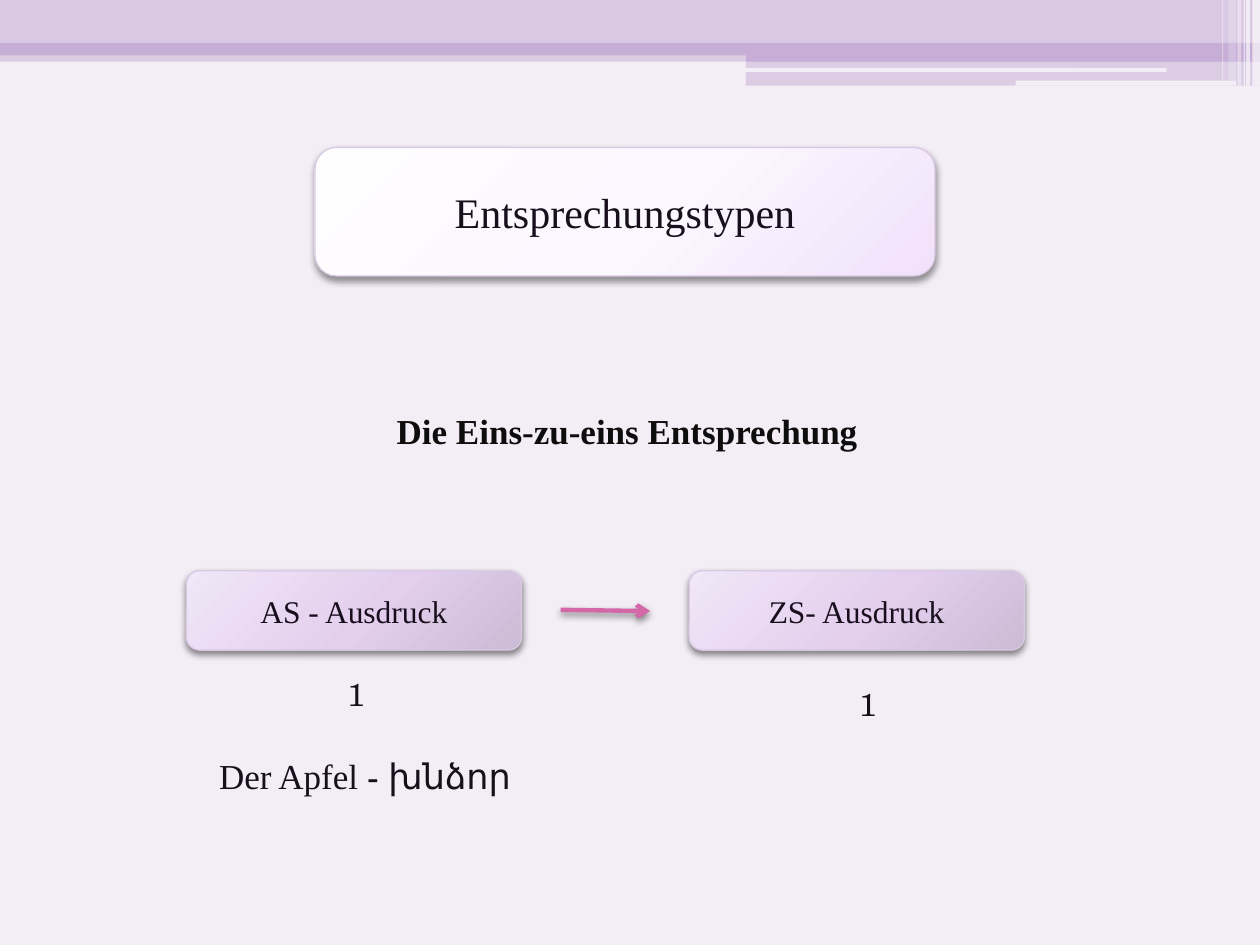
"""Slide on one-to-one equivalence: a title card, two linked terms and an example."""
from lxml import etree
from pptx import Presentation, util as u
from pptx.dml.color import RGBColor
from pptx.enum import shapes, text
from pptx.oxml import ns, parse_xml

BACK = RGBColor(0xF3, 0xEE, 0xF6)
LILAC = RGBColor(0xC7, 0xAE, 0xD6)
PALE = RGBColor(0xDA, 0xC9, 0xE3)
WHITE = RGBColor(0xFF, 0xFF, 0xFF)
PINK = RGBColor(0xD4, 0x67, 0xA8)
INK = RGBColor(0x17, 0x0F, 0x1C)
DARK = RGBColor(0x0D, 0x0D, 0x0D)
LIGHT = ("FFFEFF", "FBF7FE", "F1E1FB")
MAUVE = ("F1E7F7", "E3CEEE", "CBBBD4")
TIMES, SCHOLA, CALIBRI = "Times New Roman", "TeX Gyre Schola", "Calibri"
WIDE, HIGH = 10, 7.5
A = ns.nsdecls("a")

BANDS = [
    (0, 0.4, WIDE, 0.09, LILAC, 50),
    (0, 0, WIDE, 0.34, PALE, 100),
    (0, 0.34, WIDE, 0.1, LILAC, 100),
    (5.92, 0.39, 4.08, 0.1, LILAC, 100),
    (5.92, 0.48, 4.08, 0.2, LILAC, 50),
]
SLITS = [(5.91, 0.54, 3.35, 0.03), (8.06, 0.64, 1.75, 0.04)]
STRIPES = [
    (9.94, 0.06, 0.68, 65), (9.89, 0.03, 0.68, 65), (9.87, 0.01, 0.68, 60),
    (9.82, 0.03, 0.68, 40), (9.75, 0.06, 0.64, 20), (9.7, 0.01, 0.64, 30),
]
ROW, TERM = 4.53, (2.66, 0.63)
CARDS = [
    ("Entsprechungstypen", 2.5, 1.17, 4.92, 1.02, 24, LIGHT, 40),
    ("AS - Ausdruck", 1.48, ROW, *TERM, 18, MAUVE, 45),
    ("ZS- Ausdruck", 5.47, ROW, *TERM, 18, MAUVE, 45),
]
NOTES = [
    (2.66, 5.31, 0.47, 0.4, 18, [("1", SCHOLA)]),
    (6.72, 5.39, 0.47, 0.4, 18, [("1", SCHOLA)]),
    (1.64, 5.94, 3.2, 0.44, 20,
     [("Der Apfel ", TIMES), ("- ", SCHOLA), ("խնձոր", CALIBRI)]),
]
HEAD = (2.81, 3.2, 4.3, 0.44, 20, [("Die Eins-zu-eins Entsprechung", TIMES)])

deck = Presentation()
deck.slide_width, deck.slide_height = u.Inches(WIDE), u.Inches(HIGH)
slide = deck.slides.add_slide(deck.slide_layouts[6])
slide.background.fill.solid()
slide.background.fill.fore_color.rgb = BACK


def bar(x, y, w, h, color, alpha=100, kind=shapes.MSO_SHAPE.RECTANGLE):
    box = slide.shapes.add_shape(kind, *map(u.Inches, (x, y, w, h)))
    box.shadow.inherit = False
    box.line.fill.background()
    box.fill.solid()
    box.fill.fore_color.rgb = color
    if alpha < 100:
        solid = box._element.spPr.find(ns.qn("a:solidFill"))
        tint = solid.find(ns.qn("a:srgbClr"))
        etree.SubElement(tint, ns.qn("a:alpha"), val=str(alpha * 1000))
    return box


def shade(item, alpha):
    props = item._element.spPr
    for old in props.findall(ns.qn("a:effectLst")):
        props.remove(old)
    props.append(parse_xml(
        f'<a:effectLst {A}><a:outerShdw blurRad="{u.Pt(4)}" dist="{u.Pt(2)}" '
        f'dir="5400000" rotWithShape="0"><a:srgbClr val="000000">'
        f'<a:alpha val="{alpha * 1000}"/></a:srgbClr></a:outerShdw></a:effectLst>'))


def blend(item, tones):
    stops = "".join(f'<a:gs pos="{at * 1000}"><a:srgbClr val="{tone}"/></a:gs>'
                    for at, tone in zip((0, 55, 100), tones))
    props = item._element.spPr
    props.replace(props.find(ns.qn("a:solidFill")), parse_xml(
        f'<a:gradFill {A} rotWithShape="1"><a:gsLst>{stops}</a:gsLst>'
        '<a:path path="circle"><a:fillToRect l="-40000" t="-90000" '
        'r="140000" b="190000"/></a:path></a:gradFill>'))


def style(run, face, size, color=INK, bold=False):
    font = run.font
    font.name, font.size, font.bold = face, u.Pt(size), bold
    font.color.rgb = color


def card(words, x, y, w, h, size, tones, alpha):
    box = bar(x, y, w, h, WHITE, kind=shapes.MSO_SHAPE.ROUNDED_RECTANGLE)
    blend(box, tones)
    box.line.color.rgb = PALE
    box.line.width = u.Pt(0.75)
    shade(box, alpha)
    frame = box.text_frame
    frame.text = words
    frame.vertical_anchor = text.MSO_ANCHOR.MIDDLE
    para = frame.paragraphs[0]
    para.alignment = text.PP_ALIGN.CENTER
    style(para.runs[0], TIMES, size)


def note(x, y, w, h, size, parts, color=INK, bold=False):
    frame = slide.shapes.add_textbox(*map(u.Inches, (x, y, w, h))).text_frame
    frame.word_wrap = True
    frame.auto_size = text.MSO_AUTO_SIZE.SHAPE_TO_FIT_TEXT
    para = frame.paragraphs[0]
    for words, face in parts:
        run = para.add_run()
        run.text = words
        style(run, face, size, color, bold)
    return frame


for band in BANDS:
    bar(*band)
for slit in SLITS:
    bar(*slit, BACK, kind=shapes.MSO_SHAPE.ROUNDED_RECTANGLE)
for x, w, h, alpha in STRIPES:
    bar(x, 0, w, h, WHITE, alpha)
for item in CARDS:
    card(*item)

head = note(*HEAD, DARK, True)
head.vertical_anchor = text.MSO_ANCHOR.MIDDLE
para = head.paragraphs[0]
para.alignment = text.PP_ALIGN.JUSTIFY
para._p.get_or_add_pPr().set("indent", str(u.Inches(0.24)))

link = slide.shapes.add_connector(
    shapes.MSO_CONNECTOR.STRAIGHT, *map(u.Inches, (4.45, 4.84, 5.16, 4.85)))
link.line.color.rgb = PINK
link.line.width = u.Pt(2.5)
edge = link._element.spPr.find(ns.qn("a:ln"))
etree.SubElement(edge, ns.qn("a:tailEnd"), type="arrow")
shade(link, 45)

for item in NOTES:
    note(*item)

deck.save("out.pptx")
